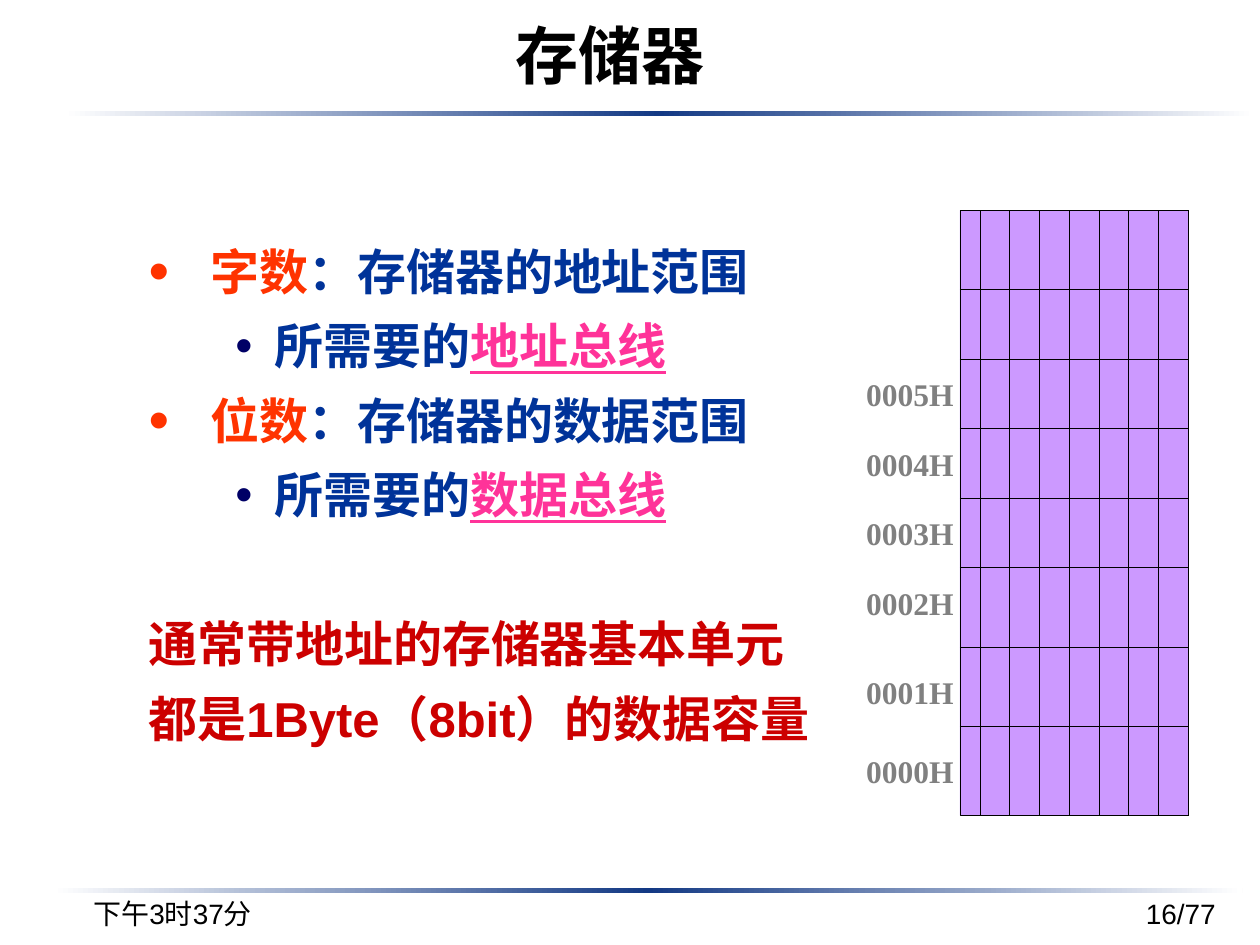
import pptx
import pptx.dml.color
import pptx.enum.shapes
import pptx.enum.text
import pptx.oxml.ns
import pptx.util
from lxml import etree

Cm, Pt = pptx.util.Cm, pptx.util.Pt
ALIGN, ANCHOR = pptx.enum.text.PP_ALIGN, pptx.enum.text.MSO_ANCHOR
COLORS = {
    "white": "FFFFFF", "navy": "133984", "black": "000000", "orange": "FF3300",
    "blue": "003399", "pink": "FF3399", "red": "CC0000", "dot": "000066",
    "violet": "CC99FF", "gray": "808080",
}


def rgb(name):
    return pptx.dml.color.RGBColor.from_string(COLORS[name])


def add_element(parent, tag, **attrs):
    return etree.SubElement(parent, pptx.oxml.ns.qn(tag), attrs)


class SlideBuilder:
    def __init__(self, prs):
        self.slide = prs.slides.add_slide(prs.slide_layouts[1])
        self.title_sp, self.body_sp = self.slide.placeholders

    def place(self, sp, box, anchor, wrap=True):
        sp.left, sp.top, sp.width, sp.height = map(Cm, box)
        tf = sp.text_frame
        tf.word_wrap = wrap
        tf.auto_size = pptx.enum.text.MSO_AUTO_SIZE.NONE
        tf.vertical_anchor = anchor
        return tf

    def style(self, p, size, color=None, bold=False, font="Arial"):
        p.font.size, p.font.bold, p.font.name = Pt(size), bold, font
        if color:
            p.font.color.rgb = rgb(color)

    def rect(self, box):
        sp = self.slide.shapes.add_shape(
            pptx.enum.shapes.MSO_SHAPE.RECTANGLE, *map(Cm, box))
        sp.shadow.inherit = False
        return sp

    def rule(self, left, top):
        half = 11.99
        for x, ends in ((left, ("white", "navy")), (left + half, ("navy", "white"))):
            sp = self.rect((x, top, half, 0.1))
            sp.line.fill.background()
            sp.fill.gradient()
            sp.fill.gradient_angle = 0
            for stop, color in zip(sp.fill.gradient_stops, ends):
                stop.color.rgb = rgb(color)

    def title(self, text, box):
        p = self.place(self.title_sp, box, ANCHOR.MIDDLE).paragraphs[0]
        p.text = text
        p.alignment = ALIGN.CENTER
        self.style(p, 36, "black", True, "Noto Sans CJK SC")

    def body(self, items, box):
        tf = self.place(self.body_sp, box, ANCHOR.TOP)
        for i, (kind, runs, before) in enumerate(items):
            p = tf.paragraphs[0] if i == 0 else tf.add_paragraph()
            p.level = 1 if kind == "sub" else 0
            p.line_spacing, p.space_before = 1.1, Pt(before)
            margin, indent = (2.54, -0.79) if kind == "sub" else (1.25, -1.25)
            pPr = p._p.get_or_add_pPr()
            pPr.set("marL", str(Cm(margin)))
            pPr.set("indent", str(Cm(indent)))
            if kind == "plain":
                add_element(pPr, "a:buNone")
            else:
                if kind == "sub":
                    clr = add_element(pPr, "a:buClr")
                    add_element(clr, "a:srgbClr", val=COLORS["dot"])
                else:
                    add_element(pPr, "a:buSzPct", val="120000")
                add_element(pPr, "a:buFont", typeface="Arial")
                add_element(pPr, "a:buChar", char="•")
            self.style(p, 28, bold=True)
            for text, color in runs:
                r = p.add_run()
                r.text = text
                r.font.color.rgb = rgb(color)
                if color == "pink":
                    r.font.underline = True

    def text(self, text, box, size, color, align, anchor=ANCHOR.TOP,
             wrap=True, bold=False, font="Arial"):
        sp = self.slide.shapes.add_textbox(*map(Cm, box))
        p = self.place(sp, box, anchor, wrap).paragraphs[0]
        p.text = text
        p.alignment = align
        self.style(p, size, color, bold, font)

    def line(self, x1, y1, x2, y2):
        cx = self.slide.shapes.add_connector(
            pptx.enum.shapes.MSO_CONNECTOR.STRAIGHT, *map(Cm, (x1, y1, x2, y2)))
        cx.line.color.rgb = rgb("black")
        cx.line.width = Pt(0.25)
        add_element(cx._element.spPr, "a:effectLst")

    def memory(self, left, top, width, row_heights, bits, pitch):
        bottom = top + sum(row_heights)
        right = left + width
        sp = self.rect((left, top, width, bottom - top))
        sp.fill.solid()
        sp.fill.fore_color.rgb = rgb("violet")
        sp.line.color.rgb = rgb("black")
        sp.line.width = Pt(0.25)
        row_tops = [top + sum(row_heights[:i]) for i in range(1, len(row_heights))]
        for y in row_tops:
            self.line(left, y, right, y)
        for i in range(bits):
            self.line(right - i * pitch, top, right - i * pitch, bottom)
        for address, y in enumerate(reversed(row_tops[1:])):
            offset = 0.4 if address < 2 else 0.2
            self.text(f"{address:04X}H", (17.15, y + offset, 2.39, 1.02), 18, "gray",
                      ALIGN.CENTER, bold=True, font="Times New Roman")


def main():
    prs = pptx.Presentation()
    prs.slide_width, prs.slide_height = Cm(25.4), Cm(19.05)
    s = SlideBuilder(prs)
    s.rule(1.3, 2.24)
    s.rule(1.07, 17.9)
    s.title("存储器", (8.1, 0.18, 8.41, 1.83))
    s.body([
        ("main", [("字数", "orange"), ("：存储器的地址范围", "blue")], 0),
        ("sub", [("所需要的", "blue"), ("地址总线", "pink")], 5.6),
        ("main", [("位数", "orange"), ("：存储器的数据范围", "blue")], 5.6),
        ("sub", [("所需要的", "blue"), ("数据总线", "pink")], 5.6),
        ("plain", [("通常带地址的存储器基本单元", "red")], 48),
        ("plain", [("都是1Byte（8bit）的数据容量", "red")], 5.6),
    ], (2.74, 4.62, 16.41, 11.43))
    s.memory(19.35, 4.24, 4.6, [1.6] + [1.4] * 4 + [1.6, 1.6, 1.8], 8, 0.6)
    s.text("下午3时37分", (0.84, 17.78, 5.28, 1.27), 16, "black",
           ALIGN.CENTER, ANCHOR.MIDDLE, wrap=False)
    s.text("16/77", (19.48, 17.78, 5.28, 1.27), 16, "black",
           ALIGN.RIGHT, ANCHOR.MIDDLE, wrap=False)
    prs.save("out.pptx")


if __name__ == "__main__":
    main()
